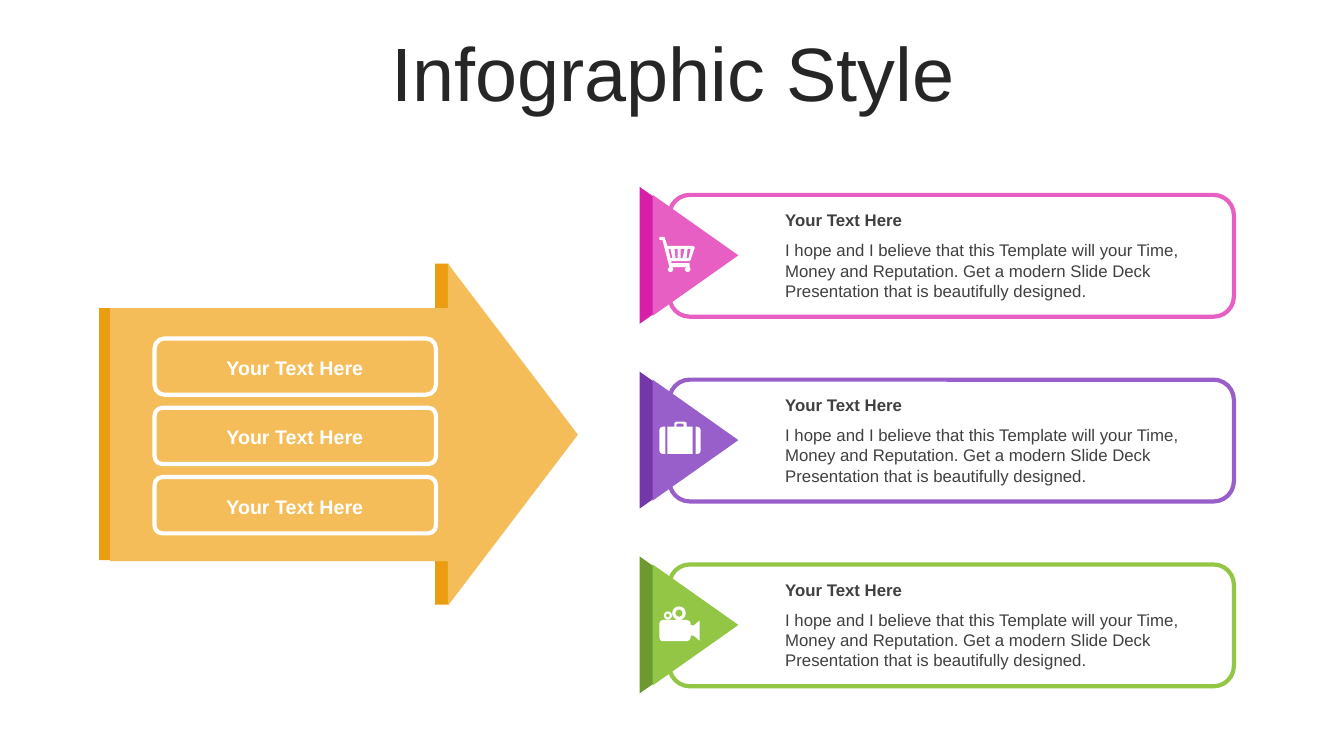
from math import cos, pi, sin

from pptx import Presentation
from pptx.dml.color import RGBColor
from pptx.enum.shapes import MSO_SHAPE as Preset
from pptx.enum.text import MSO_ANCHOR as Anchor, PP_ALIGN as Align
from pptx.util import Inches, Pt

# Slide grid: 160 columns by 90 rows
WIDTH, HEIGHT = Inches(13.333), Inches(7.5)
COL, ROW = WIDTH / 160, HEIGHT / 90
ICON_UNIT = Inches(0.01)

WHITE = RGBColor(0xFF, 0xFF, 0xFF)
INK = RGBColor(0x26, 0x26, 0x26)
GREY = RGBColor(0x40, 0x40, 0x40)
AMBER = RGBColor(0xF4, 0xBD, 0x59)
DARK_AMBER = RGBColor(0xEA, 0x9D, 0x10)
PINK = RGBColor(0xE8, 0x5F, 0xC4)
DARK_PINK = RGBColor(0xD6, 0x1F, 0xA6)
PURPLE = RGBColor(0x98, 0x5E, 0xCA)
DARK_PURPLE = RGBColor(0x73, 0x37, 0xA7)
GREEN = RGBColor(0x92, 0xC6, 0x44)
DARK_GREEN = RGBColor(0x6E, 0x99, 0x2F)

HEADING = "Your Text Here"
BODY = ("I hope and I believe that this Template will your Time, Money and "
        "Reputation. Get a modern Slide Deck Presentation that is "
        "beautifully designed.")


def circle(x, y, radius, steps=24):
    """Points of a circle, in icon units."""
    turns = [2 * pi * step / steps for step in range(steps)]
    return [(x + radius * cos(turn), y + radius * sin(turn)) for turn in turns]


# Icon outlines, in icon units from the icon's top left corner
CART = [
    [(5, 0), (8, 9), (33, 9), (35, 10), (35, 11), (31, 23), (30, 24),
     (12, 24), (12, 26), (30, 26), (30, 30), (31, 32), (30, 34), (28, 35),
     (26, 34), (25, 32), (27, 30), (13, 30), (14, 32), (13, 34), (11, 35),
     (9, 34), (8, 32), (10, 30), (3, 3), (0, 3), (0, 0)],
    [(28, 12), (27, 21), (29, 21), (31, 12)],
    [(21, 12), (21, 21), (23, 21), (25, 12)],
    [(15, 12), (16, 21), (18, 21), (18, 12)],
    [(9, 12), (11, 21), (13, 21), (11, 12)],
]
SUITCASE = [
    [(36, 5), (38, 5), (40, 6), (41, 8), (41, 29), (40, 31), (38, 32), (36, 32)],
    [(6, 5), (3, 5), (1, 6), (0, 8), (0, 29), (1, 31), (3, 32), (6, 32)],
    [(17, 0), (25, 0), (27, 1), (27, 5), (33, 5), (33, 32), (8, 32), (8, 5),
     (15, 5), (15, 1)],
    [(18, 2), (17, 3), (17, 5), (24, 5), (24, 3), (23, 2)],
]
CAMERA = [
    [(3, 13.5), (27, 13.5), (30, 14.5), (31, 17), (31, 18.5), (34, 19),
     (40, 14), (40, 34), (34, 29), (31, 29), (31, 31), (30, 33.5), (27, 34.5),
     (3, 34.5), (1, 33.5), (0, 31), (0, 17), (1, 14.5)],
    circle(19.5, 6.7, 6.7), circle(19.5, 6.7, 3.5),
    circle(8.5, 9, 4), circle(8.5, 9, 1.8),
]


def paint(shape, fill=None, line=None):
    shape.shadow.inherit = False
    if fill is None:
        shape.fill.background()
    else:
        shape.fill.solid()
        shape.fill.fore_color.rgb = fill
    if line is None:
        shape.line.fill.background()
    else:
        shape.line.color.rgb = line
        shape.line.width = Pt(3)


def grid_box(col, row, cols, rows):
    return [round(size) for size in (col * COL, row * ROW, cols * COL, rows * ROW)]


def add_block(page, preset, place, fill=None, line=None, adjust=(), turn=0):
    shape = page.shapes.add_shape(preset, *grid_box(*place))
    for index, value in enumerate(adjust):
        shape.adjustments[index] = value
    shape.rotation = turn
    paint(shape, fill, line)


def add_text(page, text, place, size=12, color=GREY, bold=False,
             align=Align.LEFT, anchor=Anchor.TOP, spacing=None):
    box = page.shapes.add_textbox(*grid_box(*place))
    frame = box.text_frame
    frame.word_wrap = True
    frame.vertical_anchor = anchor
    para = frame.paragraphs[0]
    para.alignment = align
    para.line_spacing = spacing
    span = para.add_run()
    span.text = text
    span.font.name = "Arial"
    span.font.size = Pt(size)
    span.font.bold = bold
    span.font.color.rgb = color


def add_icon(page, outlines, col, row):
    contours = [[(x * ICON_UNIT, y * ICON_UNIT) for x, y in outline]
                for outline in outlines]
    builder = page.shapes.build_freeform(*contours[0][0])
    for index, points in enumerate(contours):
        if index:
            builder.move_to(*points[0])
        builder.add_line_segments(points[1:], close=True)
    paint(builder.convert_to_shape(round(col * COL), round(row * ROW)), WHITE)


def add_big_arrow(page):
    # Dark edges behind the arrow
    add_block(page, Preset.RECTANGLE, (51.8, 31.4, 1.6, 40.6), DARK_AMBER)
    add_block(page, Preset.RECTANGLE, (11.8, 36.7, 1.6, 30), DARK_AMBER)
    add_block(page, Preset.RIGHT_ARROW, (13.1, 31.4, 55.7, 40.7), AMBER,
              adjust=(0.74, 0.38))
    # Three outlined labels
    for index, corner in enumerate((0.176, 0.138, 0.138)):
        row = 40.3 + 8.25 * index
        add_block(page, Preset.ROUNDED_RECTANGLE, (18.4, row, 33.5, 6.7),
                  line=WHITE, adjust=(corner,))
        add_text(page, HEADING, (25.1, row + 1.5, 20, 4.1), size=14,
                 color=WHITE, bold=True, align=Align.CENTER)


def add_card(page, row, color, shade, icon):
    add_block(page, Preset.ROUNDED_RECTANGLE, (79.7, row, 67.2, 14.5), WHITE, color)
    add_text(page, HEADING, (92.3, row + 1.2, 50.8, 3.6), bold=True)
    add_text(page, BODY, (92.3, row + 4.8, 50.8, 8.5))
    # Pointer with a dark edge
    add_block(page, Preset.ISOSCELES_TRIANGLE, (73.8, row + 1.4, 16.3, 11.6),
              shade, turn=90)
    add_block(page, Preset.ISOSCELES_TRIANGLE, (75.6, row + 2.1, 14.4, 10.2),
              color, turn=90)
    add_icon(page, icon, 78.5, row + 5)


def main():
    deck = Presentation()
    deck.slide_width, deck.slide_height = WIDTH, HEIGHT
    page = deck.slides.add_slide(deck.slide_layouts[6])

    add_text(page, "Infographic Style", (4.2, 4.4, 151.9, 9.5), size=54,
             color=INK, align=Align.CENTER, anchor=Anchor.MIDDLE, spacing=0.9)
    add_big_arrow(page)
    cards = ((PINK, DARK_PINK, CART), (PURPLE, DARK_PURPLE, SUITCASE),
             (GREEN, DARK_GREEN, CAMERA))
    for index, card in enumerate(cards):
        add_card(page, 23.2 + 22 * index, *card)

    deck.save("out.pptx")


if __name__ == "__main__":
    main()
